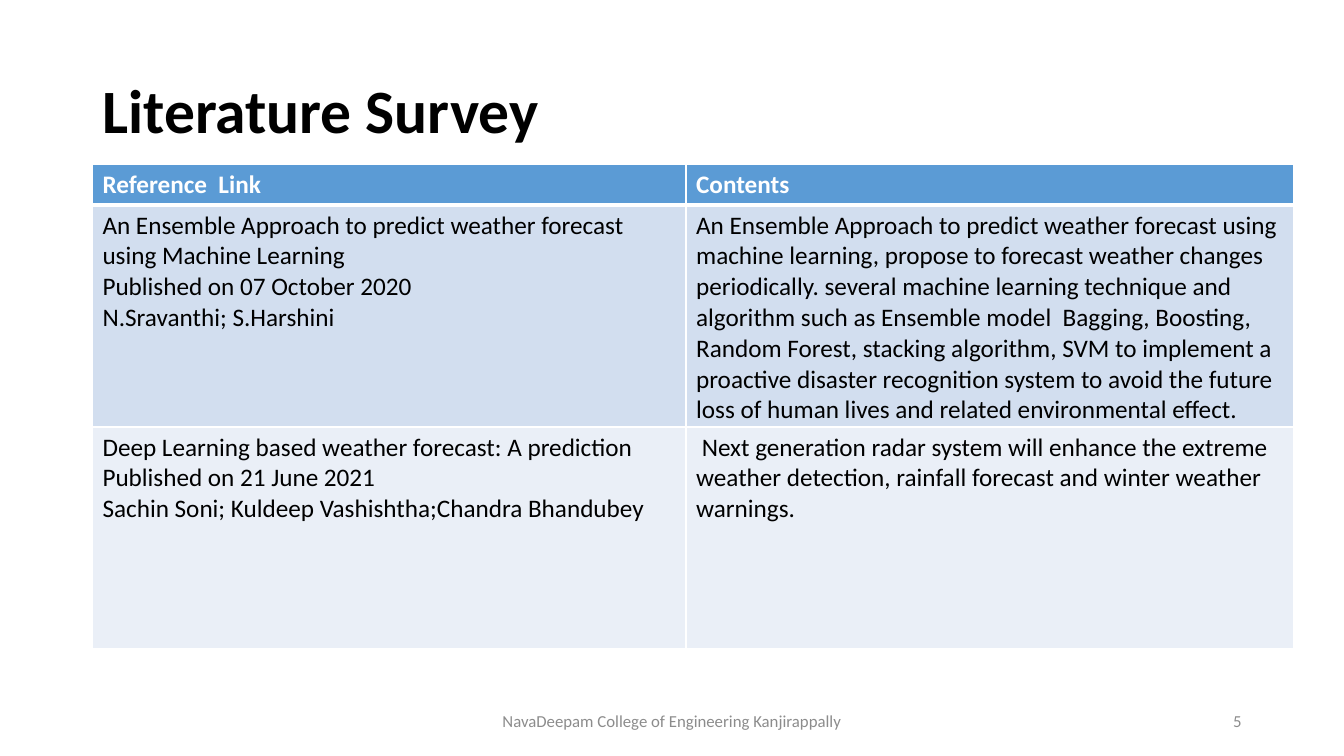
from lxml.etree import SubElement
from pptx import Presentation
from pptx.dml.color import RGBColor
from pptx.enum.text import MSO_ANCHOR as Anchor, PP_ALIGN as Align
from pptx.oxml.ns import qn
from pptx.util import Cm, Pt

BLACK = RGBColor(0x00, 0x00, 0x00)
WHITE = RGBColor(0xFF, 0xFF, 0xFF)
GREY = RGBColor(0x8C, 0x8C, 0x8C)
HEADER_BLUE = RGBColor(0x5B, 0x9B, 0xD5)
BANDS = [RGBColor(0xD2, 0xDE, 0xEF), RGBColor(0xEA, 0xEF, 0xF7)]
FONT = "Calibri"

HEADINGS = ["Reference  Link", "Contents"]
PAPERS = [
    (["An Ensemble Approach to predict weather forecast using Machine Learning",
      "Published on 07 October 2020",
      "N.Sravanthi; S.Harshini"],
     ["An Ensemble Approach to predict weather forecast using machine learning, "
      "propose to forecast weather changes periodically. several machine learning "
      "technique and algorithm such as Ensemble model  Bagging, Boosting, Random "
      "Forest, stacking algorithm, SVM to implement a proactive disaster recognition "
      "system to avoid the future loss of human lives and related environmental "
      "effect."]),
    (["Deep Learning based weather forecast: A prediction",
      "Published on 21 June 2021",
      "Sachin Soni; Kuldeep Vashishtha;Chandra Bhandubey"],
     [" Next generation radar system will enhance the extreme weather detection, "
      "rainfall forecast and winter weather warnings."]),
]


def write_lines(frame, lines, size, color, bold=False, align=Align.LEFT, spacing=1.0):
    """Write one paragraph per line into a text frame."""
    for index, line in enumerate(lines):
        paragraph = frame.add_paragraph() if index else frame.paragraphs[0]
        paragraph.alignment = align
        paragraph.line_spacing = spacing
        run = paragraph.add_run()
        run.text = line
        run.font.name, run.font.size, run.font.bold = FONT, Pt(size), bold
        run.font.color.rgb = color


def add_label(slide, box, text, size, color, **style):
    """Add a vertically centred line of text in the given box."""
    frame = slide.shapes.add_textbox(*box).text_frame
    frame.word_wrap = True
    frame.vertical_anchor = Anchor.MIDDLE
    write_lines(frame, [text], size, color, **style)


def add_borders(cell, bottom):
    """Draw white borders round a cell, with the given bottom width in points."""
    properties = cell._tc.get_or_add_tcPr()
    for index, (side, width) in enumerate(zip("LRTB", (1, 1, 1, bottom))):
        line = SubElement(properties, qn(f"a:ln{side}"), w=str(Pt(width)))
        fill = SubElement(line, qn("a:solidFill"))
        SubElement(fill, qn("a:srgbClr"), val=str(WHITE))
        properties.insert(index, line)


def add_survey(slide, box):
    """Add the table of papers, filling the given box."""
    left, top, width, height = box
    survey = slide.shapes.add_table(len(PAPERS) + 1, len(HEADINGS), *box).table
    survey.columns[0].width = Cm(14.96)
    survey.columns[1].width = width - Cm(14.96)
    header_height = Cm(1.02)
    survey.rows[0].height = header_height
    for row in list(survey.rows)[1:]:
        row.height = (height - header_height) // len(PAPERS)

    for row, entries in enumerate([[[heading] for heading in HEADINGS], *PAPERS]):
        is_header = row == 0
        for column, lines in enumerate(entries):
            cell = survey.cell(row, column)
            cell.fill.solid()
            cell.fill.fore_color.rgb = HEADER_BLUE if is_header else BANDS[row - 1]
            add_borders(cell, bottom=3 if is_header else 1)
            write_lines(cell.text_frame, lines, 18,
                        WHITE if is_header else BLACK, bold=is_header)


def add_footer(slide, box):
    """Add the college name in the centre and the page number at the right."""
    left, top, width, height = box
    name_width, number_width = Cm(11.43), Cm(7.62)
    name_left = left + (width - name_width) // 2
    number_left = left + width - number_width
    add_label(slide, (name_left, top, name_width, height),
              "NavaDeepam College of Engineering Kanjirappally", 12, GREY,
              align=Align.CENTER)
    add_label(slide, (number_left, top, number_width, height), "5", 12, GREY,
              align=Align.RIGHT)


def build_survey_slide(deck):
    """Build the literature survey slide."""
    slide = deck.slides.add_slide(deck.slide_layouts[6])
    margin, content_width = Cm(2.33), Cm(29.21)
    add_label(slide, (margin, Cm(1.01), content_width, Cm(3.68)),
              "Literature Survey", 44, BLACK, bold=True, spacing=0.9)
    add_footer(slide, (margin, Cm(17.65), content_width, Cm(1.01)))
    add_survey(slide, (margin, Cm(4.15), Cm(30.28), Cm(12.2)))


deck = Presentation()
deck.slide_width, deck.slide_height = Cm(33.87), Cm(19.05)
build_survey_slide(deck)
deck.save("out.pptx")
